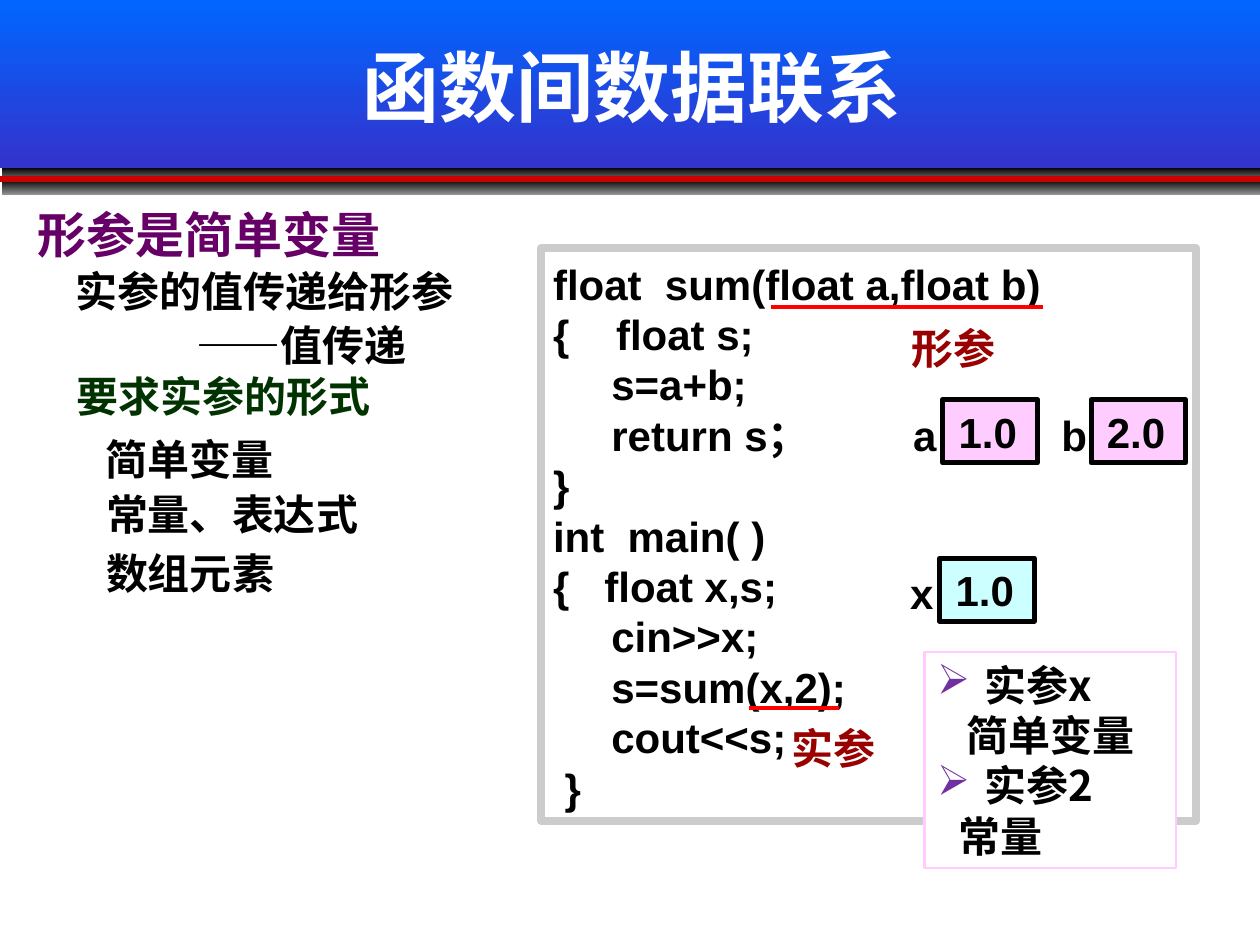
import pptx
import pptx.util
import pptx.dml.color
import pptx.enum.shapes
import pptx.enum.text
import pptx.oxml
import pptx.oxml.ns

Pt = pptx.util.Pt
SHAPE = pptx.enum.shapes.MSO_SHAPE
ALIGN = pptx.enum.text.PP_ALIGN
ANCHOR = pptx.enum.text.MSO_ANCHOR
CJK = "Noto Sans CJK SC"


def rgb(value):
    return pptx.dml.color.RGBColor.from_string(value)


def write(holder, text, font=CJK, size=24, color="000000", align=ALIGN.LEFT,
          anchor=ANCHOR.TOP, insets=(7.2, 5.5, 7.2, 3.6), wrap=True, leading=1.2):
    """Fill a shape with bold text, one paragraph a line; leading is in ems."""
    frame = holder.text_frame
    frame.text = text
    frame.word_wrap = wrap
    frame.vertical_anchor = anchor
    (frame.margin_left, frame.margin_top,
     frame.margin_right, frame.margin_bottom) = [Pt(inset) for inset in insets]
    for paragraph in frame.paragraphs:
        paragraph.alignment = align
        paragraph.space_before = Pt(0)
        if leading:
            paragraph.line_spacing = Pt(round(leading * size, 2))
        for run in paragraph.runs:
            run.font.name = font
            run.font.size = Pt(size)
            run.font.bold = True
            run.font.color.rgb = rgb(color)
            latin = run.font._element.find(pptx.oxml.ns.qn("a:latin"))
            latin.addnext(pptx.oxml.parse_xml(
                f'<a:ea {pptx.oxml.ns.nsdecls("a")} typeface="{CJK}"/>'))
    return frame


def draw(kind, box, fill=None, line=None, width=1):
    shape = slide.shapes.add_shape(kind, *[Pt(length) for length in box])
    shape.shadow.inherit = False
    if isinstance(fill, tuple):
        shape.fill.gradient()
        shape.fill.gradient_angle = 270
        for stop, color, position in zip(shape.fill.gradient_stops, fill, (0, 1)):
            stop.color.rgb = rgb(color)
            stop.position = position
    elif fill:
        shape.fill.solid()
        shape.fill.fore_color.rgb = rgb(fill)
    else:
        shape.fill.background()
    if line:
        shape.line.color.rgb = rgb(line)
        shape.line.width = Pt(width)
    else:
        shape.line.fill.background()
    return shape


deck = pptx.Presentation()
deck.slide_width, deck.slide_height = Pt(720), Pt(540)
slide = deck.slides.add_slide(deck.slide_layouts[5])

# Header band, dark strips and red rule
draw(SHAPE.RECTANGLE, (0, 0, 720, 96), ("0066FF", "3333CC"))
for top in (95.75, 102.5):
    draw(SHAPE.RECTANGLE, (1, top, 719, 8.75), ("000000", "929292"))
rule = slide.shapes.add_connector(
    pptx.enum.shapes.MSO_CONNECTOR.STRAIGHT, Pt(0), Pt(102.25), Pt(720), Pt(102.25))
rule.line.color.rgb = rgb("CC0000")
rule.line.width = Pt(3)
rule._element.spPr.append(
    pptx.oxml.parse_xml(f'<a:effectLst {pptx.oxml.ns.nsdecls("a")}/>'))

title = slide.shapes.title
title.element.getparent().append(title.element)
title.left, title.top, title.width, title.height = Pt(34.5), Pt(15), Pt(654), Pt(68)
write(title, "函数间数据联系", font="Arial", size=44, color="FFFFFF", align=ALIGN.CENTER,
      anchor=ANCHOR.MIDDLE, insets=(7.2, 3.6, 7.2, 3.6), leading=None)

# Points on the left
for text, left, top, width, size, color in (
        ("形参是简单变量", 14.5, 111.6, 520, 28, "660066"),
        ("实参的值传递给形参", 36, 146, 300, 24, "000000"),
        ("——值传递", 105, 177, 181, 24, "000000"),
        ("要求实参的形式", 36.5, 206, 300, 24, "003300"),
        ("简单变量", 53.25, 242, 210, 24, "000000"),
        ("常量、表达式", 53.5, 273.5, 264, 24, "000000"),
        ("数组元素", 53.5, 307.5, 264, 24, "000000")):
    point = slide.shapes.add_textbox(Pt(left), Pt(top), Pt(width), Pt(1.2 * size + 7.2))
    write(point, text, size=size, color=color)

# Program
program = draw(SHAPE.RECTANGLE, (309, 142, 374.5, 327), line="CCCCCC", width=4.5)
write(program, """float  sum(float a,float b)
{    float s;
     s=a+b;
     return s；
}
int  main( )
{   float x,s;
     cin>>x;
     s=sum(x,2);
     cout<<s;
 }""", font="Arial", wrap=False)

# Underlined parameters and arguments with their labels
for label, box, underline, left_inset in (
        ("形参", (509, 181.5, 72, 34), (-0.18, 1.21, -0.18, -0.95), 7.2),
        ("实参", (417, 410.5, 108, 34), (-0.18, 0.58, -0.18, 0.1), 18)):
    callout = draw(SHAPE.LINE_CALLOUT_1_NO_BORDER, box, line="FF0000", width=2.25)
    for index, value in enumerate(underline):
        callout.adjustments[index] = value
    write(callout, label, color="990000", align=ALIGN.CENTER,
          anchor=ANCHOR.MIDDLE, insets=(left_inset, 0, 7.2, 0))

# Notes on the arguments
notes = draw(SHAPE.RECTANGLE, (528.5, 372.5, 143.5, 123.5), "FFFFFF", "FFCCFF", 1.5)
notes_frame = write(notes, "实参x\n简单变量\n实参2\n常量", anchor=ANCHOR.MIDDLE,
                    insets=(7.2, 3.6, 7.2, 3.6))
for paragraph, (margin, indent, align, bullet) in zip(notes_frame.paragraphs, (
        (27, -27, ALIGN.JUSTIFY, True), (27, -27, ALIGN.CENTER, False),
        (27, -27, ALIGN.JUSTIFY, True), (12, 0, ALIGN.JUSTIFY, False))):
    paragraph.alignment = align
    properties = paragraph._p.get_or_add_pPr()
    properties.set("marL", str(Pt(margin)))
    properties.set("indent", str(Pt(indent)))
    if bullet:
        for tag in ('buClr><a:srgbClr val="7030A0"/></a:buClr', 'buChar char="➢"/'):
            properties.append(pptx.oxml.parse_xml(
                f"<a:{tag}>".replace(" char", f' {pptx.oxml.ns.nsdecls("a")} char')
                .replace("buClr>", f'buClr {pptx.oxml.ns.nsdecls("a")}>', 1)))

# Variables and their values
for variable, value, left, top, fill in (
        ("x", "1.0", 537, 319, "CCFFFF"),
        ("a", "1.0", 538.75, 228.5, "FFCCFF"),
        ("b", "2.0", 623.5, 228.5, "FFCCFF")):
    cell = draw(SHAPE.RECTANGLE, (left, top, 54, 36), fill, "000000", 3)
    write(cell, value, font="Arial", anchor=ANCHOR.MIDDLE, insets=(9, 3.6, 0, 3.6))
    name = slide.shapes.add_textbox(Pt(left - 24), Pt(top), Pt(36), Pt(36))
    write(name, variable, font="Arial")

deck.save("out.pptx")
